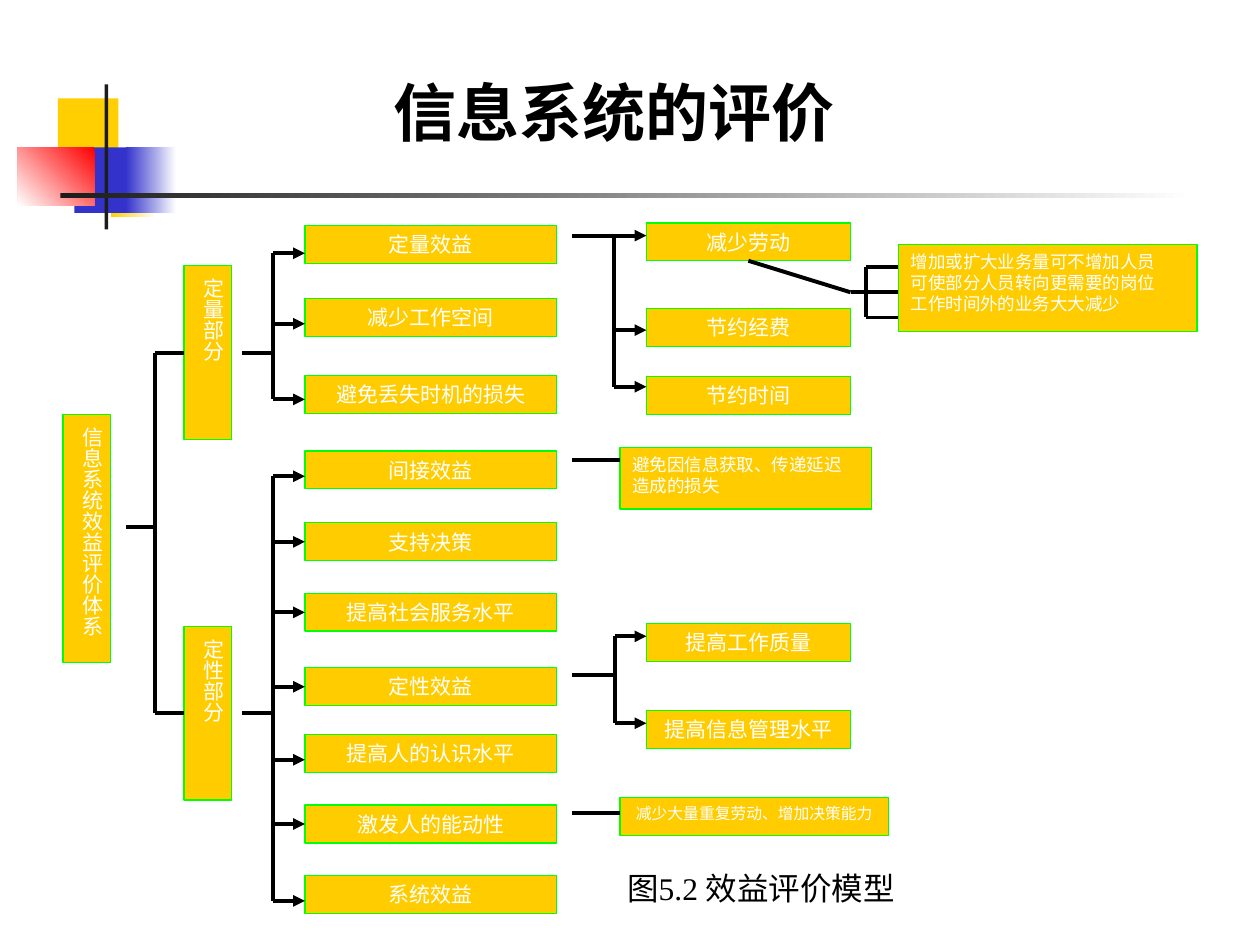
from lxml import etree
from pptx import Presentation
from pptx.dml.color import RGBColor
from pptx.enum import shapes, text
from pptx.oxml.ns import qn
from pptx.util import Inches, Pt

COLOURS = {
    "box": "FFCC00", "border": "00FF00", "label": "FFFFFF", "ink": "000000",
    "yellow": "FFCF01", "blue": "3333CC", "red": "FF0000", "dark": "1C1C1C",
    "white": "FFFFFF",
}
LATIN, CJK = "Times New Roman", "Noto Sans CJK SC"
TOP, LEFT, BOTTOM = 0, 1, 2

# Ornament: left, top, width, height, colour, angle of the fade to white
ORNAMENT = [
    (0.46, 0.78, 0.48, 0.52, "yellow", None),
    (0.88, 1.2, 0.36, 0.52, "yellow", 0),
    (0.59, 1.17, 0.46, 0.52, "blue", None),
    (1, 1.17, 0.4, 0.52, "blue", 0),
    (0.14, 1.17, 0.61, 0.46, "red", 225),
    (0.83, 0.67, 0.03, 1.15, "dark", None),
    (0.48, 1.53, 9, 0.04, "dark", 0),
]

# Branches: label, top of the box, height of its arrow
QUANTITATIVE = [
    ("定量效益", 1.79, 2.01), ("减少工作空间", 2.37, 2.57),
    ("避免丢失时机的损失", 2.98, 3.17),
]
QUALITATIVE = [
    ("间接效益", 3.58, 3.78), ("支持决策", 4.15, 4.29),
    ("提高社会服务水平", 4.71, 4.87), ("定性效益", 5.3, 5.45),
    ("提高人的认识水平", 5.83, 6.03), ("激发人的能动性", 6.39, 6.54),
    ("系统效益", 6.95, 7.15),
]
SAVINGS = [("减少劳动", 1.77, 1.87), ("节约经费", 2.45, 2.62), ("节约时间", 2.99, 3.07)]
IMPROVEMENTS = [("提高工作质量", 4.95, 5.05), ("提高信息管理水平", 5.64, 5.74)]


def rgb(name):
    return RGBColor.from_string(COLOURS[name])


def set_font(font, size, colour, name=LATIN, bold=False):
    font.size, font.name, font.bold = Pt(size), name, bold
    font.color.rgb = rgb(colour)


def set_east_asian(properties, name):
    element = etree.SubElement(properties, qn("a:ea"))
    element.set("typeface", name)


def add_rectangle(slide, left, top, width, height):
    shape = slide.shapes.add_shape(
        shapes.MSO_SHAPE.RECTANGLE,
        Inches(left), Inches(top), Inches(width), Inches(height))
    shape.shadow.inherit = False
    return shape


def add_ornament(slide, left, top, width, height, colour, angle):
    shape = add_rectangle(slide, left, top, width, height)
    shape.line.fill.background()
    if angle is None:
        shape.fill.solid()
        shape.fill.fore_color.rgb = rgb(colour)
        return
    shape.fill.gradient()
    shape.fill.gradient_angle = angle
    for stop, name, position in zip(shape.fill.gradient_stops, (colour, "white"), (0, 1)):
        stop.color.rgb = rgb(name)
        stop.position = position


def add_box(slide, lines, left, top, width, height=0.3, size=12,
            align=text.PP_ALIGN.CENTER, vertical=False):
    box = add_rectangle(slide, left, top, width, height)
    box.fill.solid()
    box.fill.fore_color.rgb = rgb("box")
    box.line.color.rgb = rgb("border")
    box.line.width = Pt(0.75)
    frame = box.text_frame
    frame.word_wrap = True
    frame.vertical_anchor = text.MSO_ANCHOR.TOP
    if vertical:
        frame.margin_left = frame.margin_right = Inches(0.05)
        frame.margin_top = frame.margin_bottom = Inches(0.1)
        frame._txBody.bodyPr.set("vert", "eaVert")
    frame.text = "\n".join(lines)
    for paragraph in frame.paragraphs:
        paragraph.alignment = align
        set_font(paragraph.font, size, "label")
    return box


def add_line(slide, x1, y1, x2, y2, arrow=False):
    line = slide.shapes.add_connector(
        shapes.MSO_CONNECTOR.STRAIGHT, Inches(x1), Inches(y1), Inches(x2), Inches(y2))
    line.line.color.rgb = rgb("ink")
    line.line.width = Pt(2.25)
    if arrow:
        etree.SubElement(line.line._get_or_add_ln(), qn("a:tailEnd")).set("type", "triangle")
    etree.SubElement(line._element.spPr, qn("a:effectLst"))
    return line


def add_branch(slide, items, left, width, trunk_x, stem_x, stem_y):
    """Boxes fed by arrows from one trunk, with a stem on its other side."""
    boxes = []
    for label, top, arrow_y in items:
        box = add_box(slide, [label], left, top, width)
        middle = top + 0.15
        joined = abs(arrow_y - middle) <= 0.02
        y = middle if joined else arrow_y
        arrow = add_line(slide, trunk_x, y, left, y, arrow=True)
        if joined:
            arrow.end_connect(box, LEFT)
        boxes.append(box)
    add_line(slide, trunk_x, items[0][2], trunk_x, items[-1][2])
    add_line(slide, stem_x, stem_y, trunk_x, stem_y)
    return boxes


def add_title(slide):
    title = slide.shapes.title
    title.left, title.top = Inches(1), Inches(0.42)
    title.width, title.height = Inches(7.75), Inches(1)
    title.text_frame.text = "信息系统的评价"
    title.text_frame.vertical_anchor = text.MSO_ANCHOR.MIDDLE
    paragraph = title.text_frame.paragraphs[0]
    paragraph.alignment = text.PP_ALIGN.CENTER
    paragraph.line_spacing = 0.9
    set_font(paragraph.font, 36, "ink", CJK, bold=True)
    set_east_asian(paragraph.font._element, CJK)


def add_caption(slide):
    caption = slide.shapes.add_textbox(Inches(4.58), Inches(6.85), Inches(2.92), Inches(0.4))
    caption.text_frame.word_wrap = True
    paragraph = caption.text_frame.paragraphs[0]
    paragraph.alignment = text.PP_ALIGN.CENTER
    for words, name in (("图", CJK), ("5.2 ", LATIN), ("效益评价模型", CJK)):
        span = paragraph.add_run()
        span.text = words
        set_font(span.font, 18, "ink", name)
        set_east_asian(span.font._element, CJK)


def add_root(slide):
    add_box(slide, ["信息系统效益评价体系"], 0.5, 3.29, 0.38, 1.97, vertical=True)
    for label, top in (("定量部分", 2.11), ("定性部分", 4.97)):
        part = add_box(slide, [label], 1.46, top, 0.38, 1.38, vertical=True)
        middle = top + 0.69
        add_line(slide, 1.23, middle, 1.46, middle).end_connect(part, LEFT)
    add_line(slide, 1.23, 2.8, 1.23, 5.66)
    add_line(slide, 1, 4.18, 1.23, 4.18)


def add_details(slide, labour):
    justify = text.PP_ALIGN.JUSTIFY
    # Losses avoided and labour reduced
    add_box(slide, ["避免因信息获取、传递延迟", "造成的损失"],
            4.92, 3.55, 2, 0.49, size=10, align=justify)
    add_box(slide, ["减少大量重复劳动、增加决策能力"], 4.92, 6.33, 2.13, size=9)
    for y in (3.65, 6.45):
        add_line(slide, 4.54, y, 4.92, y)
    # Three effects of less labour
    add_box(slide, ["增加或扩大业务量可不增加人员", "可使部分人员转向更需要的岗位",
                    "工作时间外的业务大大减少"],
            7.13, 1.94, 2.37, 0.69, size=10, align=justify)
    for x, y in ((6.87, 2.12), (6.75, 2.32), (6.87, 2.52)):
        add_line(slide, x, y, 7.13, y)
    add_line(slide, 6.87, 2.12, 6.87, 2.52)
    add_line(slide, 5.94, 2.07, 6.75, 2.32).begin_connect(labour, BOTTOM)


def main():
    deck = Presentation()
    deck.slide_width, deck.slide_height = Inches(10), Inches(7.5)
    slide = deck.slides.add_slide(deck.slide_layouts[5])
    for part in ORNAMENT:
        add_ornament(slide, *part)
    add_title(slide)
    add_root(slide)
    add_branch(slide, QUANTITATIVE, 2.42, 2, 2.17, 1.92, 2.8)
    add_branch(slide, QUALITATIVE, 2.42, 2, 2.17, 1.92, 5.66)
    savings = add_branch(slide, SAVINGS, 5.13, 1.62, 4.87, 4.54, 1.87)
    add_branch(slide, IMPROVEMENTS, 5.13, 1.62, 4.88, 4.54, 5.36)
    add_details(slide, savings[0])
    add_caption(slide)
    deck.save("out.pptx")


if __name__ == "__main__":
    main()
